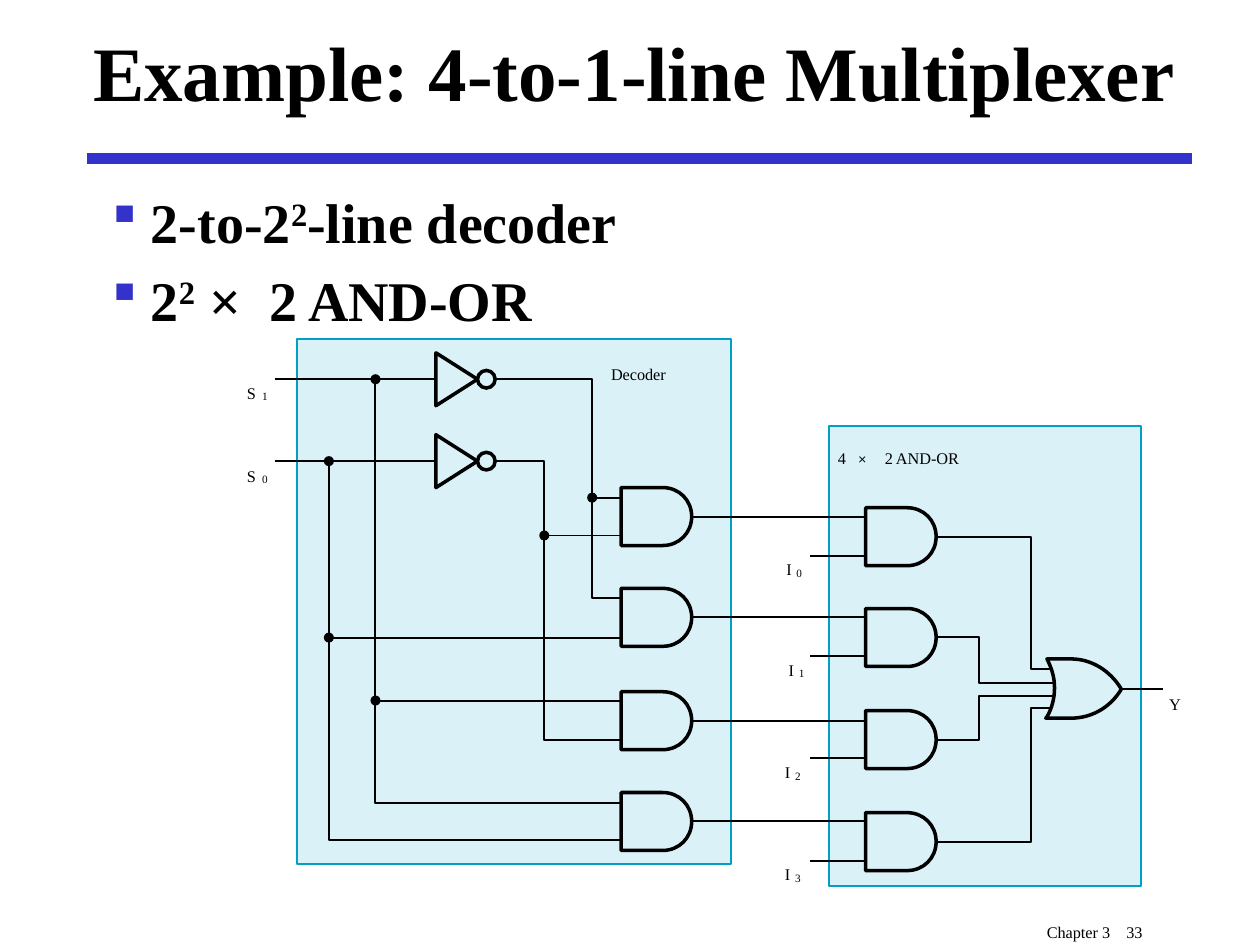
"""Build the 4-to-1-line multiplexer slide."""
from lxml import etree
from pptx import Presentation
from pptx.dml.color import RGBColor
from pptx.enum.shapes import MSO_CONNECTOR, MSO_SHAPE
from pptx.enum.text import MSO_ANCHOR
from pptx.oxml.ns import qn
from pptx.util import Inches, Pt

STRAIGHT = MSO_CONNECTOR.STRAIGHT
RECTANGLE = MSO_SHAPE.RECTANGLE
OVAL = MSO_SHAPE.OVAL
MIDDLE = MSO_ANCHOR.MIDDLE
COLORS = {"ink": "000000", "accent": "3333CC", "panel": "D9F1F7", "edge": "00A0C6"}
COLOR = {name: RGBColor.from_string(value) for name, value in COLORS.items()}
SERIF = "Times New Roman"
WIRE, GATE = 1.13, 2

deck = Presentation()
deck.slide_width, deck.slide_height = Inches(10), Inches(7.5)
page = deck.slides.add_slide(deck.slide_layouts[6])


def add_text(area, paragraphs, size, bold=False, inset=(0.1, 0.05), wrap=True, font=SERIF):
    """Add a text box whose paragraphs are lists of (text, baseline) spans."""
    box = page.shapes.add_textbox(*map(Inches, area))
    frame = box.text_frame
    frame.word_wrap = wrap
    frame.margin_left = frame.margin_right = Inches(inset[0])
    frame.margin_top = frame.margin_bottom = Inches(inset[1])
    for index, spans in enumerate(paragraphs):
        para = frame.add_paragraph() if index else frame.paragraphs[0]
        for text, baseline in spans:
            span = para.add_run()
            span.text = text
            span.font.name, span.font.size, span.font.bold = font, Pt(size), bold
            span.font.color.rgb = COLOR["ink"]
            if baseline:
                span.font._element.set("baseline", str(baseline * 1000))
    return frame


def add_outline(points, closed, curved=False):
    """Add a closed gate body or an open wire; curved takes points in threes as Bezier curves."""
    vertices = [(Inches(x), Inches(y)) for x, y in points]
    builder = page.shapes.build_freeform(*vertices[0], scale=1.0)
    builder.add_line_segments(vertices[1:], close=closed)
    shape = builder.convert_to_shape()
    shape.shadow.inherit = False
    if curved:
        segments = list(shape._element.iter(qn("a:lnTo")))[:len(points) - 1]
        for first in range(0, len(segments), 3):
            curve = etree.Element(qn("a:cubicBezTo"))
            segments[first].addprevious(curve)
            for segment in segments[first:first + 3]:
                curve.append(segment[0])
                segment.getparent().remove(segment)
    if closed:
        shape.fill.solid()
        shape.fill.fore_color.rgb = COLOR["panel"]
    else:
        shape.fill.background()
    shape.line.color.rgb = COLOR["ink"]
    shape.line.width = Pt(GATE if closed else WIRE)


add_text((8.21, 7.12, 1.78, 0.38), [[("Chapter 3    33", -25)]], 16)
title = add_text((0.64, 0, 9.03, 1.12), [[("Example: 4-to-1-line Multiplexer", 0)]], 44, True)
title.vertical_anchor = MIDDLE
body = add_text((0.79, 1.44, 8.5, 5.5), [
    [("2-to-2", 0), ("2", 30), ("-line decoder", 0)],
    [("2", 0), ("2", 30), (" ×  2 AND-OR", 0)],
], 32, True)
for para in body.paragraphs:
    para.space_before = Pt(6)
    properties = para._p.get_or_add_pPr()
    properties.set("marL", str(Inches(0.31)))
    properties.set("indent", str(Inches(-0.31)))
    bullet_color = etree.SubElement(properties, qn("a:buClr"))
    etree.SubElement(bullet_color, qn("a:srgbClr")).set("val", COLORS["accent"])
    etree.SubElement(properties, qn("a:buFont")).set("typeface", "Wingdings")
    etree.SubElement(properties, qn("a:buChar")).set("char", "§")

for area in [(2.36, 2.69, 3.44, 4.17), (6.58, 3.38, 2.48, 3.65)]:
    panel = page.shapes.add_shape(RECTANGLE, *map(Inches, area))
    panel.shadow.inherit = False
    panel.fill.solid()
    panel.fill.fore_color.rgb = COLOR["panel"]
    panel.line.color.rgb = COLOR["edge"]
    panel.line.width = Pt(WIRE)

rows = [4.1, 4.9, 5.72, 6.52]
outputs = [4.26, 5.06, 5.87, 6.68]
wires = [(4.32, 4.25, 5.13, 4.25), (4.7, 3.95, 5.07, 3.95), (8.65, 5.47, 9.23, 5.47),
         (2.61, 5.06, 5.12, 5.06), (2.98, 5.56, 5.05, 5.56)]
for row, output in zip(rows, outputs):
    wires += [(5.44, row, 7.04, row), (6.43, output + 0.15, 6.97, output + 0.15)]
lines = [((0.69, 1.26, 9.46, 1.26), "accent", 6)] + [(wire, "ink", WIRE) for wire in wires]
for ends, color, width in lines:
    line = page.shapes.add_connector(STRAIGHT, *map(Inches, ends))
    line.line.color.rgb = COLOR[color]
    line.line.width = Pt(width)
    etree.SubElement(line._element.spPr, qn("a:effectLst"))

for output, entry, bend in zip(outputs, [5.31, 5.42, 5.52, 5.62], [8.18, 7.77, 7.77, 8.18]):
    add_outline([(8.45, entry), (bend, entry), (bend, output), (7.26, output)], False)
for bent_wire in [
    [(2.18, 3.01), (4.7, 3.01), (4.7, 4.75), (5.13, 4.75)],
    [(2.18, 3.66), (4.32, 3.66), (4.32, 5.87), (5.13, 5.87)],
    [(2.98, 3.01), (2.98, 6.37), (5.17, 6.37)],
    [(2.61, 3.66), (2.61, 6.67), (5.16, 6.67)],
]:
    add_outline(bent_wire, False)

for left, centers in [(6.87, outputs), (4.93, rows)]:
    shoulder, control, nose = left + 0.33, left + 0.46, left + 0.56
    for center in centers:
        top, bottom = center - 0.23, center + 0.23
        add_outline([(left, top)] + [(left, bottom)] * 3 + [(shoulder, bottom)] * 3 + [
            (control, bottom), (nose, center + 0.13), (nose, center),
            (nose, center - 0.13), (control, top), (shoulder, top)], True, True)

add_outline([
    (8.31, 5.69), (8.35, 5.62), (8.37, 5.54), (8.37, 5.46),
    (8.37, 5.38), (8.35, 5.31), (8.31, 5.23)] + [(8.5, 5.23)] * 3 + [
    (8.66, 5.23), (8.81, 5.32), (8.9, 5.47),
    (8.81, 5.62), (8.66, 5.7), (8.5, 5.7)] + [(8.3, 5.7)] * 3, True, True)

circles = [(x, y, 0.08, "ink") for x, y in [
    (2.98, 3.01), (2.61, 3.66), (2.61, 5.06), (2.98, 5.56), (4.32, 4.25), (4.7, 3.95)]]
for y in (3.01, 3.66):
    add_outline([(3.46, y - 0.21), (3.46, y + 0.21), (3.79, y)], True)
    circles.append((3.86, y, 0.14, "panel"))
for x, y, size, color in circles:
    circle = page.shapes.add_shape(
        OVAL, Inches(x - size / 2), Inches(y - size / 2), Inches(size), Inches(size))
    circle.shadow.inherit = False
    circle.fill.solid()
    circle.fill.fore_color.rgb = COLOR[color]
    if color == "ink":
        circle.line.fill.background()
    else:
        circle.line.color.rgb = COLOR["ink"]
        circle.line.width = Pt(GATE)

labels = [("Decoder", 4.85, 2.74, 0.76, 16, SERIF), ("4", 6.65, 3.41, 0.11, 16, SERIF),
          ("×", 6.81, 3.41, 0.23, 16, "Cambria"), (" 2 AND-OR", 6.99, 3.41, 1.11, 16, SERIF),
          ("Y", 9.28, 5.36, 0.16, 16, SERIF)]
for letter, digit, x, y, width in [
    ("S", "1", 1.96, 2.89, 0.12), ("S", "0", 1.96, 3.55, 0.12),
    ("I", "0", 6.24, 4.29, 0.08), ("I", "1", 6.26, 5.09, 0.08),
    ("I", "2", 6.23, 5.9, 0.08), ("I", "3", 6.23, 6.71, 0.08),
]:
    labels += [(letter, x, y, width, 16, SERIF), (digit, x + width, y + 0.1, 0.08, 11, SERIF)]
for text, x, y, width, size, font in labels:
    add_text((x, y, width, size / 60), [[(text, -25)]], size, inset=(0, 0), wrap=False, font=font)

deck.save("out.pptx")
